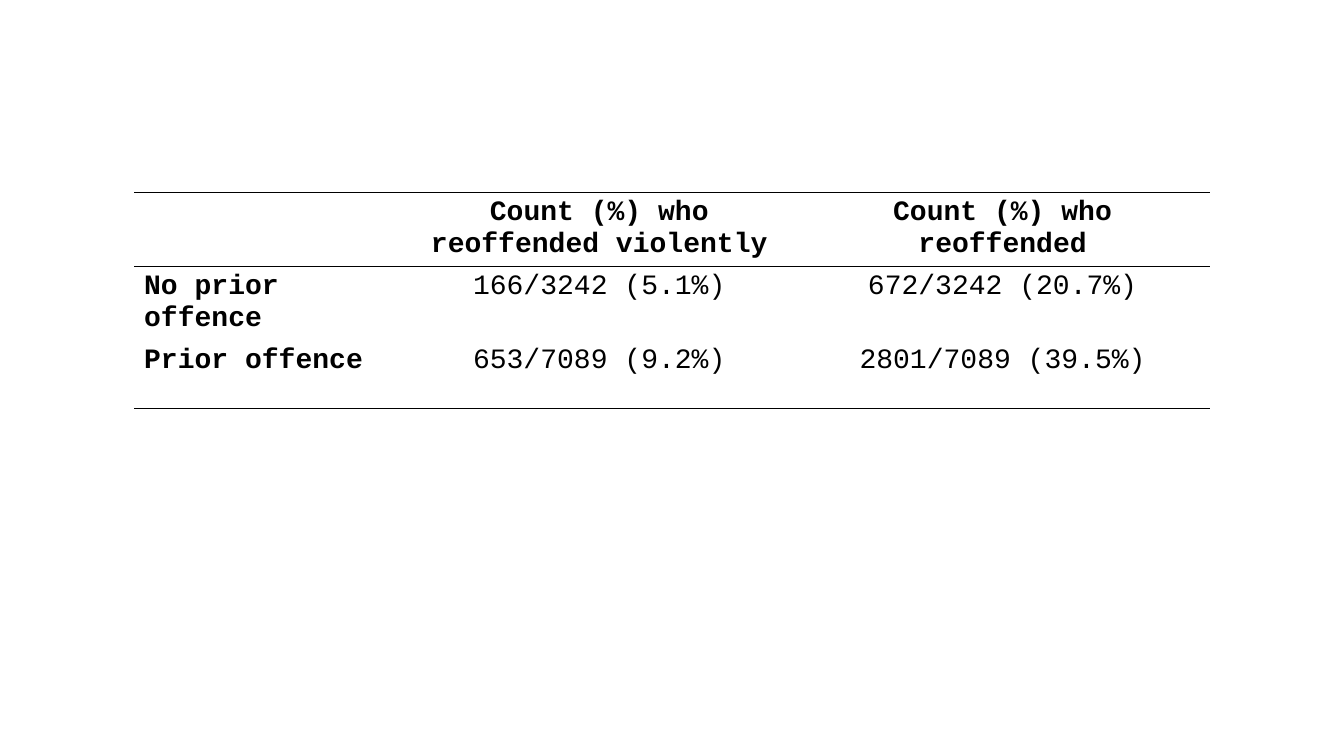
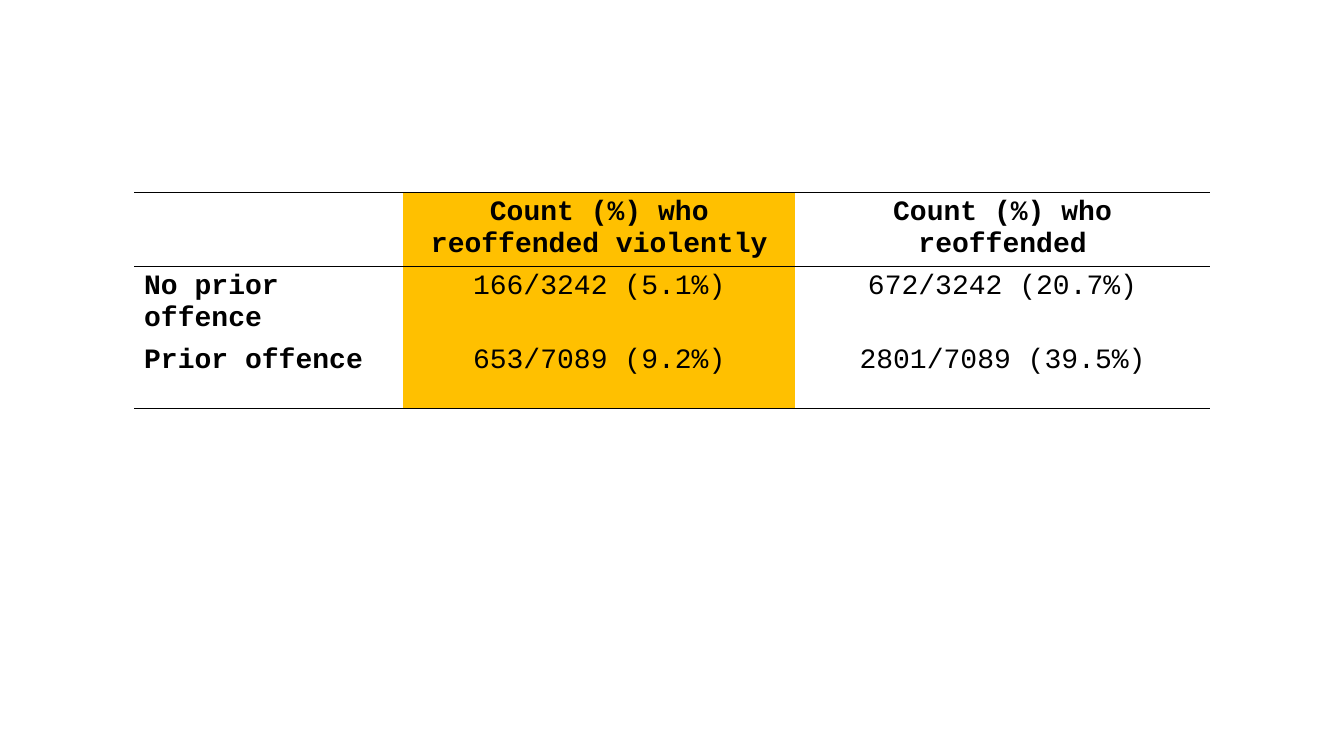
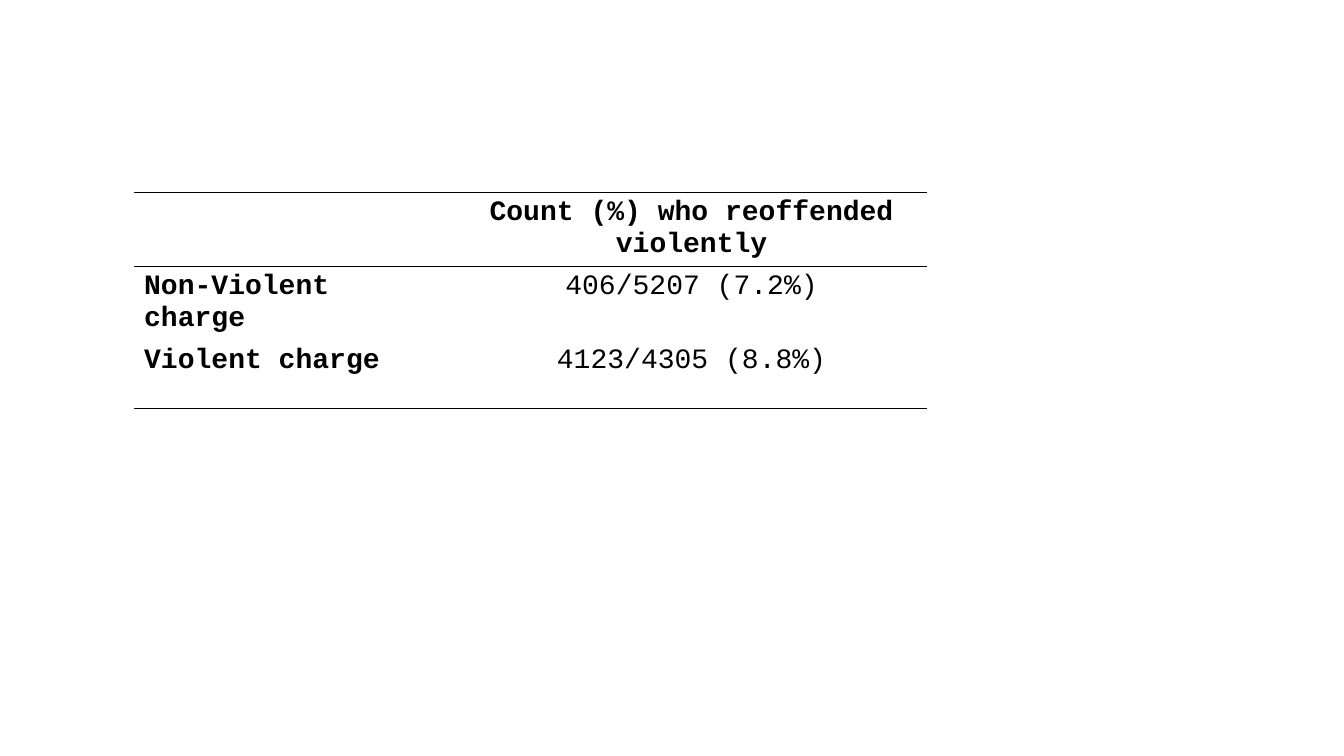
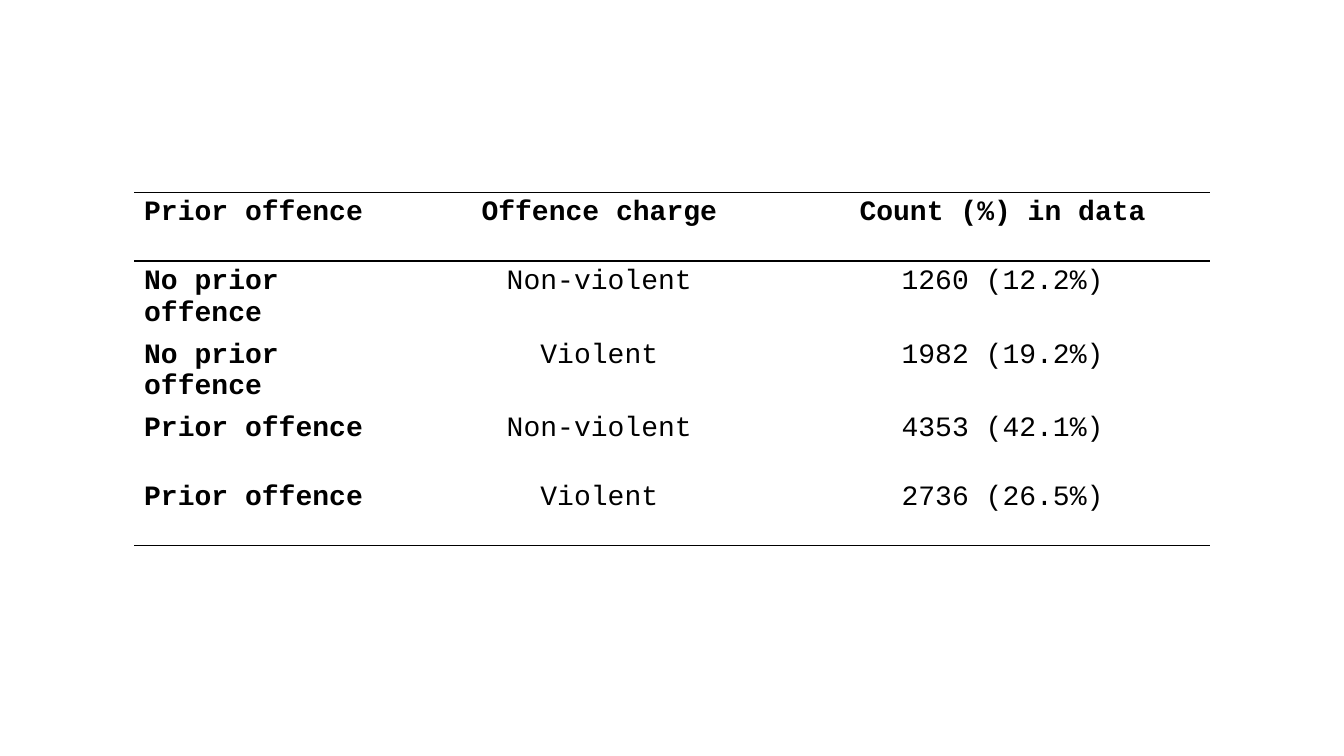
import pptx
import pptx.dml.color
import pptx.enum.text
import pptx.oxml
import pptx.oxml.ns
import pptx.util
from pptx.util import Inches

BLACK = pptx.dml.color.RGBColor(0x00, 0x00, 0x00)
WHITE = pptx.dml.color.RGBColor(0xFF, 0xFF, 0xFF)
HIGHLIGHT = pptx.dml.color.RGBColor(0xFF, 0xC0, 0x00)
FONT = "Courier New"
TEXT_SIZE = pptx.util.Pt(20)
RULE_WIDTH = pptx.util.Pt(1)
ROW_HEIGHT = 0.68
NO_STYLE = "{2D5ABB26-0587-4C30-8999-92F81FD0307C}"

THREE_COLUMNS = [2.67, 3.89, 4.11]
TWO_COLUMNS = [3.2, 4.66]

prior_offence_rows = [
    ["", "Count (%) who reoffended violently", "Count (%) who reoffended"],
    ["No prior offence", "166/3242 (5.1%)", "672/3242 (20.7%)"],
    ["Prior offence", "653/7089 (9.2%)", "2801/7089 (39.5%)"],
]
charge_rows = [
    ["", "Count (%) who reoffended violently"],
    ["Non-Violent charge", "406/5207 (7.2%)"],
    ["Violent charge", "4123/4305 (8.8%)"],
]
combined_rows = [
    ["Prior offence", "Offence charge", "Count (%) in data"],
    ["No prior offence", "Non-violent", "1260 (12.2%)"],
    ["No prior offence", "Violent", "1982 (19.2%)"],
    ["Prior offence", "Non-violent", "4353 (42.1%)"],
    ["Prior offence", "Violent", "2736 (26.5%)"],
]

slides = [
    (prior_offence_rows, THREE_COLUMNS, None),
    (prior_offence_rows, THREE_COLUMNS, 1),
    (charge_rows, TWO_COLUMNS, None),
    (combined_rows, THREE_COLUMNS, None),
]


def set_borders(cell, ruled_sides):
    properties = cell._tc.get_or_add_tcPr()
    for position, side in enumerate("LRTB"):
        if side in ruled_sides:
            paint = f'<a:solidFill><a:srgbClr val="{BLACK}"/></a:solidFill>'
        else:
            paint = "<a:noFill/>"
        border = pptx.oxml.parse_xml(
            f'<a:ln{side} {pptx.oxml.ns.nsdecls("a")} w="{RULE_WIDTH}">{paint}</a:ln{side}>'
        )
        properties.insert(position, border)


deck = pptx.Presentation()
deck.slide_width = Inches(13.33)
deck.slide_height = Inches(7.5)

for rows, widths, highlighted_column in slides:
    slide = deck.slides.add_slide(deck.slide_layouts[6])
    frame = slide.shapes.add_table(
        len(rows), len(widths), Inches(1.33), Inches(1.91),
        Inches(sum(widths)), Inches(ROW_HEIGHT * len(rows)),
    )
    table = frame.table
    table.first_row = False
    table.horz_banding = False
    table._tbl.tblPr.find(pptx.oxml.ns.qn("a:tableStyleId")).text = NO_STYLE
    for column, width in zip(table.columns, widths):
        column.width = Inches(width)

    for row_index, labels in enumerate(rows):
        table.rows[row_index].height = Inches(ROW_HEIGHT)
        ruled_sides = ""
        if row_index <= 1:
            ruled_sides += "T"
        if row_index in (0, len(rows) - 1):
            ruled_sides += "B"
        for column_index, label in enumerate(labels):
            cell = table.cell(row_index, column_index)
            cell.fill.solid()
            cell.fill.fore_color.rgb = HIGHLIGHT if column_index == highlighted_column else WHITE
            set_borders(cell, ruled_sides)
            if not label:
                continue
            paragraph = cell.text_frame.paragraphs[0]
            if column_index > 0:
                paragraph.alignment = pptx.enum.text.PP_ALIGN.CENTER
            run = paragraph.add_run()
            run.text = label
            run.font.name = FONT
            run.font.size = TEXT_SIZE
            run.font.bold = row_index == 0 or column_index == 0
            run.font.color.rgb = BLACK

deck.save("out.pptx")
